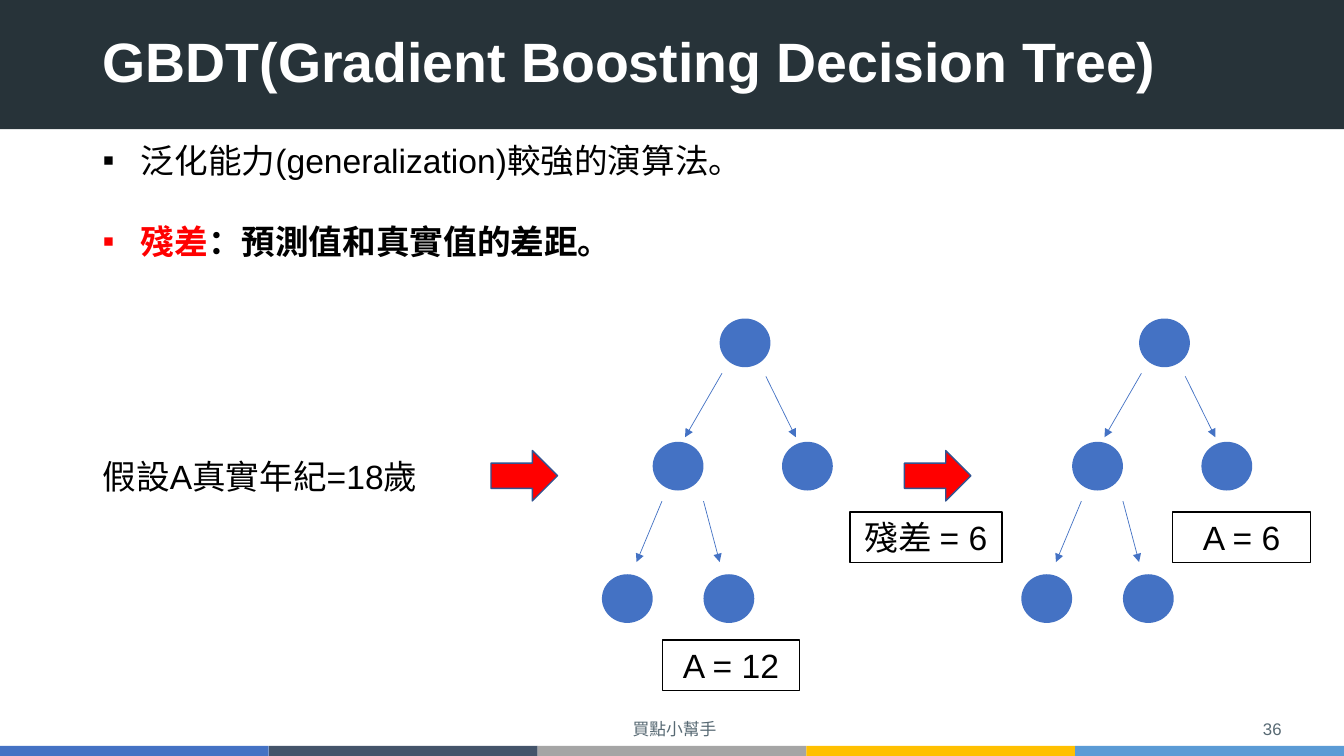
from collections import namedtuple

from lxml import etree
from pptx import Presentation
from pptx.dml.color import RGBColor
from pptx.enum.shapes import MSO_CONNECTOR, MSO_SHAPE as SHAPE
from pptx.enum.text import MSO_ANCHOR as ANCHOR, PP_ALIGN as ALIGN
from pptx.oxml.ns import qn
from pptx.util import Inches, Pt

W, H = 13.33, 7.5
BLUE, RED, BLACK, GREY = "4472C4", "FF0000", "000000", "576973"
STRIPES = [BLUE, "44546A", "A5A5A5", "FFC000", "5B9BD5"]

Box = namedtuple("Box", "x y w h")

# Shares of the tree's box: node corners, then branch starts and ends
NODES = [(0.51, 0), (0.22, 0.405), (0.78, 0.405), (0.44, 0.84), (0, 0.84)]
NODE_SIZE = (0.22, 0.16)
BRANCHES = [
    ((0.52, 0.18), (0.36, 0.39)),
    ((0.71, 0.19), (0.84, 0.39)),
    ((0.44, 0.6), (0.51, 0.8)),
    ((0.26, 0.6), (0.15, 0.8)),
]


def rgb(color):
    return RGBColor.from_string(color)


def part(box, x, y, w=0, h=0):
    """Return the box that covers the given shares of another box."""
    return Box(box.x + x * box.w, box.y + y * box.h, w * box.w, h * box.h)


def add_shape(s, kind, box, fill=None, line=None):
    sp = s.shapes.add_shape(kind, *map(Inches, box))
    sp.shadow.inherit = False
    if fill:
        sp.fill.solid()
        sp.fill.fore_color.rgb = rgb(fill)
    else:
        sp.fill.background()
    if line:
        sp.line.color.rgb = rgb(line)
        sp.line.width = Pt(1)
    else:
        sp.line.fill.background()
    return sp


def add_run(p, text, size=24, color=BLACK, bold=False):
    r = p.add_run()
    r.text = text
    r.font.name = "Arial"
    r.font.size = Pt(size)
    r.font.bold = bold
    r.font.color.rgb = rgb(color)


def add_text(s, box, text, align=ALIGN.LEFT, anchor=ANCHOR.TOP, spacing=None, **font):
    tf = s.shapes.add_textbox(*map(Inches, box)).text_frame
    tf.word_wrap = True
    tf.vertical_anchor = anchor
    p = tf.paragraphs[0]
    p.alignment = align
    p.line_spacing = spacing
    add_run(p, text, **font)


def add_bullet(p):
    pPr = p._p.get_or_add_pPr()
    pPr.set("marL", str(Inches(0.38)))
    pPr.set("indent", str(-Inches(0.38)))
    etree.SubElement(pPr, qn("a:buFont"), typeface="Arial")
    etree.SubElement(pPr, qn("a:buChar"), char="▪")


def add_branch(s, start, end):
    c = s.shapes.add_connector(
        MSO_CONNECTOR.STRAIGHT, *map(Inches, (start.x, start.y, end.x, end.y)))
    c.line.color.rgb = rgb(BLUE)
    c.line.width = Pt(0.5)
    etree.SubElement(c.line._get_or_add_ln(), qn("a:tailEnd"), type="triangle")
    etree.SubElement(c._element.spPr, qn("a:effectLst"))


def header(s, box, title):
    add_shape(s, SHAPE.RECTANGLE, box, "273339")
    add_text(s, Box(box.x + 0.92, box.y + 0.28, 11.5, 0.74), title,
             anchor=ANCHOR.MIDDLE, spacing=0.9, size=39.6, color="FFFFFF", bold=True)


def footer(s, box, name, number):
    stripe = 1 / len(STRIPES)
    for i, color in enumerate(STRIPES):
        add_shape(s, SHAPE.RECTANGLE, part(box, i * stripe, 0, stripe, 1), color)
    style = dict(anchor=ANCHOR.MIDDLE, size=12, color=GREY)
    y = box.y - 0.33
    add_text(s, Box(9.81, y, 3, 0.31), number, ALIGN.RIGHT, **style)
    add_text(s, Box(4.44, y, 4.5, 0.31), name, ALIGN.CENTER, **style)


def bullets(s, box, items):
    """Place one bullet per item; an item lists (text, format) runs."""
    tf = s.shapes.add_textbox(*map(Inches, box)).text_frame
    tf.word_wrap = True
    for i, runs in enumerate(items):
        p = tf.add_paragraph() if i else tf.paragraphs[0]
        if i:
            p.space_before = Pt(29)
        add_bullet(p)
        for text, font in runs:
            add_run(p, text, **font)


def tree(s, box):
    for x, y in NODES:
        add_shape(s, SHAPE.OVAL, part(box, x, y, *NODE_SIZE), BLUE)
    for start, end in BRANCHES:
        add_branch(s, part(box, *start), part(box, *end))


def label(s, box, text):
    sp = add_shape(s, SHAPE.RECTANGLE, box, line=BLACK)
    tf = sp.text_frame
    tf.word_wrap = True
    tf.vertical_anchor = ANCHOR.TOP
    p = tf.paragraphs[0]
    p.alignment = ALIGN.CENTER
    add_run(p, text)


def boosting(s, box):
    """Draw the true age, then two trees, each one led in by an arrow."""
    row = box.y + 1.31
    add_text(s, Box(box.x, row, 3.96, 0.5), "假設A真實年紀=18歲")
    for arrow_x, tree_x in [(3.95, 5.05), (8.05, 9.21)]:
        tree(s, Box(box.x + tree_x, box.y, 2.29, 3.02))
        add_shape(s, SHAPE.RIGHT_ARROW, Box(box.x + arrow_x, row, 0.66, 0.5),
                  RED, "325491")
    for x, y, w, text in [(10.71, 1.92, 1.37, "A = 6"),
                          (5.65, 3.19, 1.36, "A = 12"),
                          (7.51, 1.92, 1.51, "殘差 = 6")]:
        label(s, Box(box.x + x, box.y + y, w, 0.5), text)


def main():
    prs = Presentation()
    prs.slide_width, prs.slide_height = Inches(W), Inches(H)
    s = prs.slides.add_slide(prs.slide_layouts[6])
    header(s, Box(0, -0.01, W, 1.29), "GBDT(Gradient Boosting Decision Tree)")
    bullets(s, Box(0.92, 1.34, 6.94, 1.31), [
        [("泛化能力(generalization)較強的演算法。", {})],
        [("殘差", dict(color=RED, bold=True)),
         ("：預測值和真實值的差距。", dict(bold=True))],
    ])
    boosting(s, Box(0.92, 3.16, 12.08, 3.69))
    footer(s, Box(0, H - 0.1, W, 0.1), "買點小幫手", "36")
    prs.save("out.pptx")


if __name__ == "__main__":
    main()
